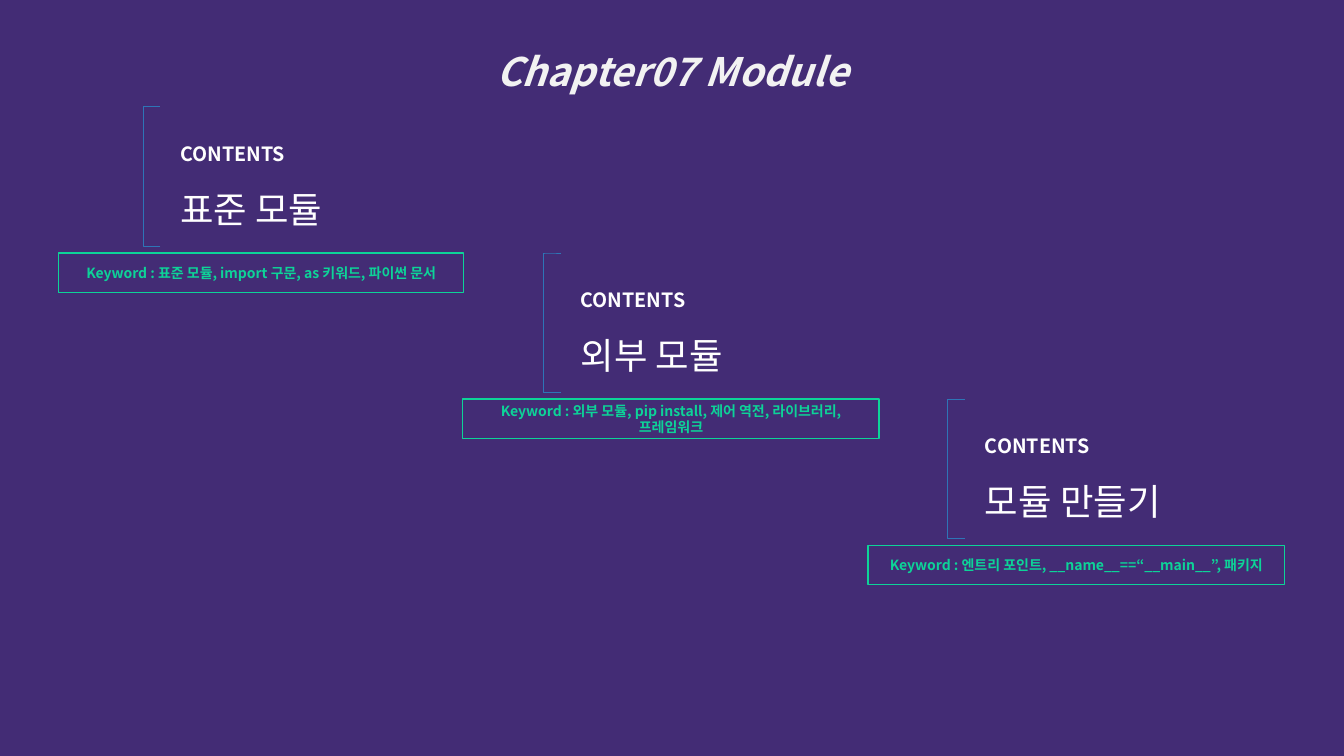
from pptx import Presentation
from pptx.dml.color import RGBColor
from pptx.enum.shapes import MSO_SHAPE
from pptx.enum.text import MSO_ANCHOR, MSO_AUTO_SIZE, PP_ALIGN
from pptx.oxml.ns import qn
from pptx.util import Inches, Pt
from lxml.etree import SubElement

FONT = "Noto Sans CJK KR"
COLORS = {
    "back": "432C75",
    "title": "F2F2F2",
    "text": "FFFFFF",
    "bracket": "2E75B6",
    "key": "0DD398",
}
TOP, STEP = 1.06, 1.45
PARTS = [
    (1.42, "표준 모듈", 0.58, 4.02,
     "표준 모듈, import 구문, as 키워드, 파이썬 문서"),
    (5.39, "외부 모듈", 4.59, 4.13,
     "외부 모듈, pip install, 제어 역전, 라이브러리, 프레임워크"),
    (9.4, "모듈 만들기", 8.61, 4.13,
     "엔트리 포인트, __name__==“__main__”, 패키지"),
]


def paint(name):
    """Return the named colour."""
    return RGBColor.from_string(COLORS[name])


def write(para, text, size, color, bold=True, italic=False):
    """Add one formatted run to a paragraph."""
    run = para.add_run()
    run.text = text
    font = run.font
    font.name, font.size = FONT, Pt(size)
    font.bold, font.italic = bold, italic
    font.color.rgb = paint(color)
    SubElement(font._element, qn("a:ea")).set("typeface", FONT)


def outline(slide, kind, box, color, width):
    """Add an unfilled shape with a coloured line."""
    shape = slide.shapes.add_shape(kind, *map(Inches, box))
    shape.shadow.inherit = False
    shape.fill.background()
    shape.line.color.rgb = paint(color)
    shape.line.width = Pt(width)
    return shape


def add_title(slide, left, top, width, height):
    """Place the chapter title in its box."""
    title = slide.shapes.title
    title.left, title.top = Inches(left), Inches(top)
    title.width, title.height = Inches(width), Inches(height)
    frame = title.text_frame
    frame.word_wrap = True
    frame.auto_size = MSO_AUTO_SIZE.SHAPE_TO_FIT_TEXT
    frame.vertical_anchor = MSO_ANCHOR.TOP
    para = frame.paragraphs[0]
    para.alignment = PP_ALIGN.CENTER
    para.line_spacing = 1.5
    write(para, "Chapter07 Module", 28, "title", italic=True)


def add_head(slide, left, top, name):
    """Place a bracket with the section heading beside it."""
    mark = outline(slide, MSO_SHAPE.LEFT_BRACKET,
                   (left, top, 0.17, 1.38), "bracket", 0.5)
    mark.adjustments[0] = 0
    box = (left + 0.27, top + 0.18, 2.51, 1.03)
    frame = slide.shapes.add_textbox(*map(Inches, box)).text_frame
    frame.word_wrap = True
    frame.auto_size = MSO_AUTO_SIZE.SHAPE_TO_FIT_TEXT
    first, second = frame.paragraphs[0], frame.add_paragraph()
    first.line_spacing = second.line_spacing = 1.5
    write(first, "CONTENTS", 14, "text")
    write(second, name, 26, "text", bold=False)


def add_keys(slide, left, top, width, words):
    """Place the outlined box of keywords."""
    box = (left, top, width, 0.39)
    frame = outline(slide, MSO_SHAPE.RECTANGLE, box, "key", 1).text_frame
    frame.word_wrap = True
    frame.vertical_anchor = MSO_ANCHOR.MIDDLE
    para = frame.paragraphs[0]
    para.alignment = PP_ALIGN.CENTER
    write(para, "Keyword : " + words, 10, "key")


def main():
    """Build and save the chapter slide."""
    deck = Presentation()
    deck.slide_width, deck.slide_height = Inches(13.33), Inches(7.5)
    slide = deck.slides.add_slide(deck.slide_layouts[5])
    fill = slide.background.fill
    fill.solid()
    fill.fore_color.rgb = paint("back")
    add_title(slide, 3.33, 0.19, 6.67, 0.72)
    for row, (left, name, edge, width, words) in enumerate(PARTS):
        top = TOP + row * STEP
        add_head(slide, left, top, name)
        add_keys(slide, edge, top + STEP, width, words)
    deck.save("out.pptx")


if __name__ == "__main__":
    main()
